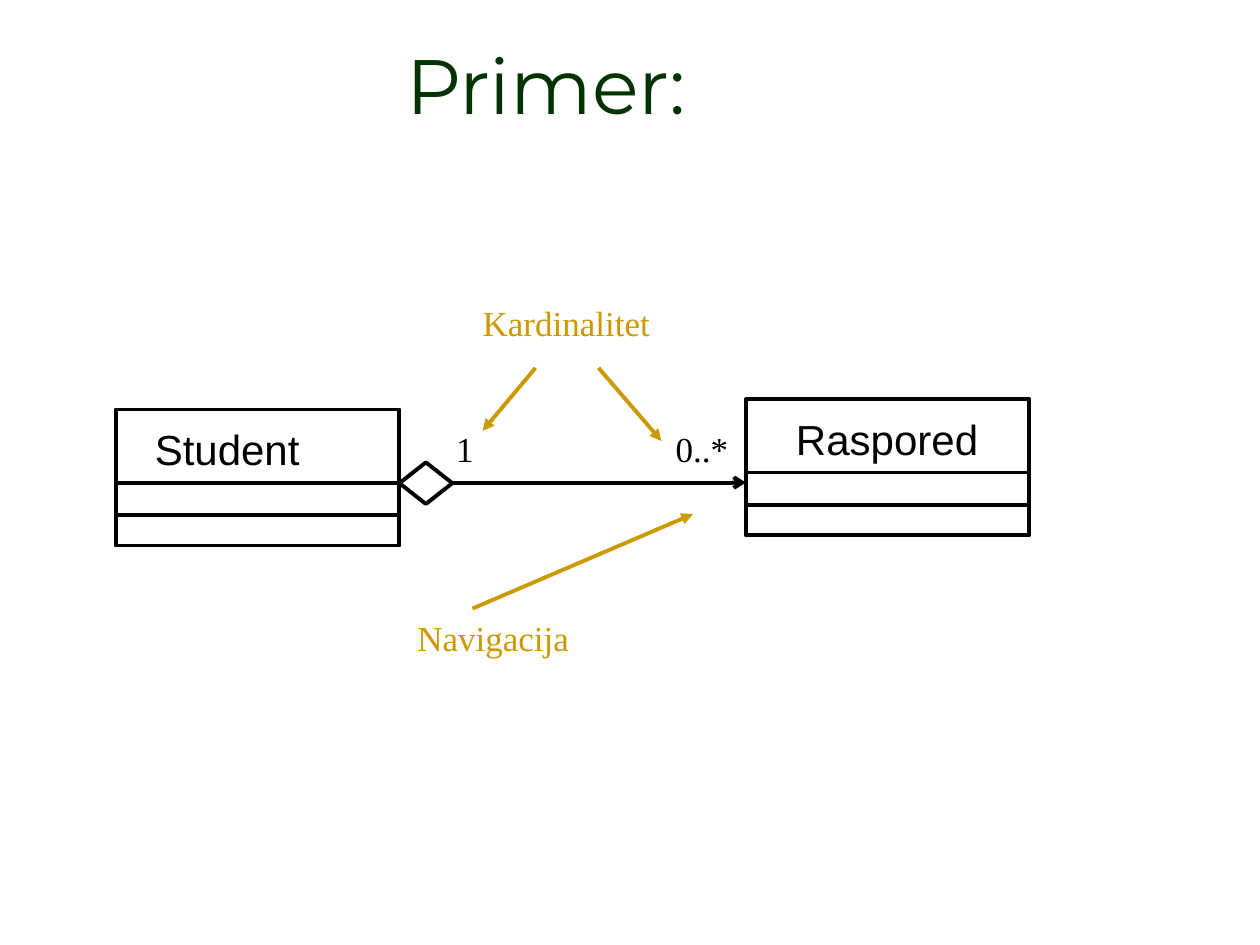
from pptx import Presentation
from pptx.dml.color import RGBColor
from pptx.enum.shapes import MSO_CONNECTOR, MSO_SHAPE
from pptx.enum.text import MSO_ANCHOR, PP_ALIGN
from pptx.util import Inches, Pt
from lxml.etree import SubElement
from pptx.oxml.ns import qn

COLORS = {"ink": "000000", "gold": "CC9900", "title": "003300"}
LEFT, MID, RIGHT = PP_ALIGN.LEFT, PP_ALIGN.CENTER, PP_ALIGN.RIGHT

deck = Presentation()
deck.slide_width, deck.slide_height = Inches(10), Inches(7.5)
slide = deck.slides.add_slide(deck.slide_layouts[5])
shapes = slide.shapes


def write(box, text, font, size, color, align):
    frame = box.text_frame
    frame.word_wrap = True
    frame.text = text
    para = frame.paragraphs[0]
    para.alignment = align
    para.font.name, para.font.size = font, Pt(size)
    para.font.color.rgb = RGBColor.from_string(COLORS[color])
    return frame


def join(x1, y1, x2, y2, color="ink", head=None):
    line = shapes.add_connector(MSO_CONNECTOR.STRAIGHT, Inches(x1), Inches(y1),
                                Inches(x2), Inches(y2))
    line.line.width = Pt(2.25)
    line.line.color.rgb = RGBColor.from_string(COLORS[color])
    if head:
        SubElement(line.line._get_or_add_ln(), qn("a:tailEnd"), type=head)
    SubElement(line._element.spPr, qn("a:effectLst"))


# Title
title = shapes.title
title.left, title.top = Inches(0.25), Inches(0.25)
title.width, title.height = Inches(8.17), Inches(0.83)
frame = write(title, "Primer:", "Montserrat", 44, "title", MID)
frame.vertical_anchor = MSO_ANCHOR.BOTTOM

# Class boxes and the aggregation diamond
for kind, x, y, w, h in [
    (MSO_SHAPE.RECTANGLE, 0.92, 3.25, 2.25, 1.08),
    (MSO_SHAPE.RECTANGLE, 5.92, 3.17, 2.25, 1.08),
    (MSO_SHAPE.DIAMOND, 3.17, 3.67, 0.42, 0.33),
]:
    shape = shapes.add_shape(kind, Inches(x), Inches(y), Inches(w), Inches(h))
    shape.shadow.inherit = False
    shape.fill.background()
    shape.line.width = Pt(2.25)
    shape.line.color.rgb = RGBColor.from_string(COLORS["ink"])

# Class names and dividers
for name, x, y, align in [("Student", 0.92, 3.25, LEFT),
                          ("Raspored", 5.92, 3.17, MID)]:
    box = shapes.add_textbox(Inches(x + 0.21), Inches(y + 0.06),
                             Inches(1.82), Inches(0.5))
    write(box, name, "Arial", 24, "ink", align)
    for gap in (0.58, 0.84):
        join(x, y + gap, x + 2.25, y + gap)

# Labels
for text, x, y, w, color, align in [
    ("1", 3.5, 3.33, 1.73, "ink", LEFT),
    ("0..*", 4.17, 3.33, 1.73, "ink", RIGHT),
    ("Kardinalitet", 2.58, 2.33, 3.83, "gold", MID),
    ("Navigacija", 2, 4.83, 3.83, "gold", MID),
]:
    box = shapes.add_textbox(Inches(x), Inches(y), Inches(w), Inches(0.45))
    frame = write(box, text, "Times New Roman", 20, color, align)
    frame.margin_left = frame.margin_right = Inches(0.12)
    frame.margin_top = frame.margin_bottom = Inches(0.06)

# Association and pointers to its parts
join(3.58, 3.83, 5.92, 3.83, head="arrow")
for ends in [(4.75, 2.92, 5.25, 3.5), (4.25, 2.92, 3.83, 3.42),
             (3.75, 4.83, 5.5, 4.08)]:
    join(*ends, color="gold", head="triangle")

deck.save("out.pptx")
